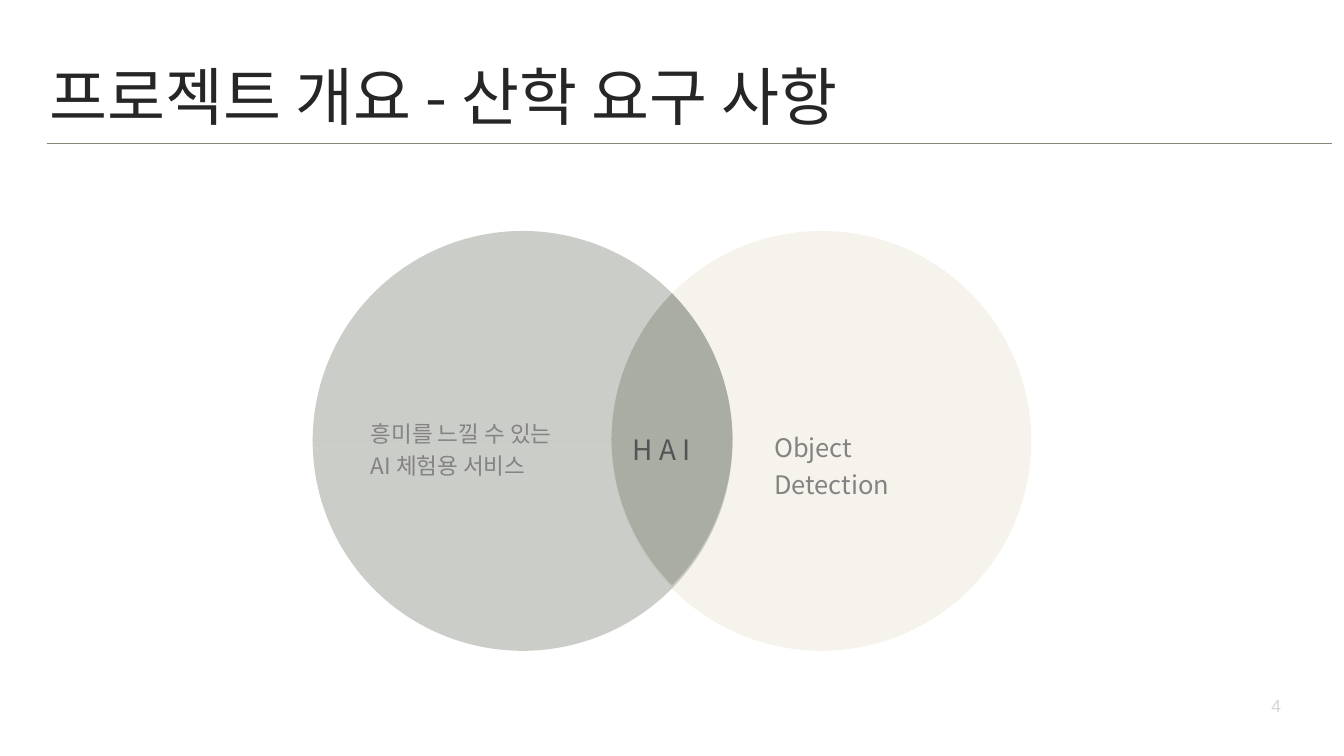
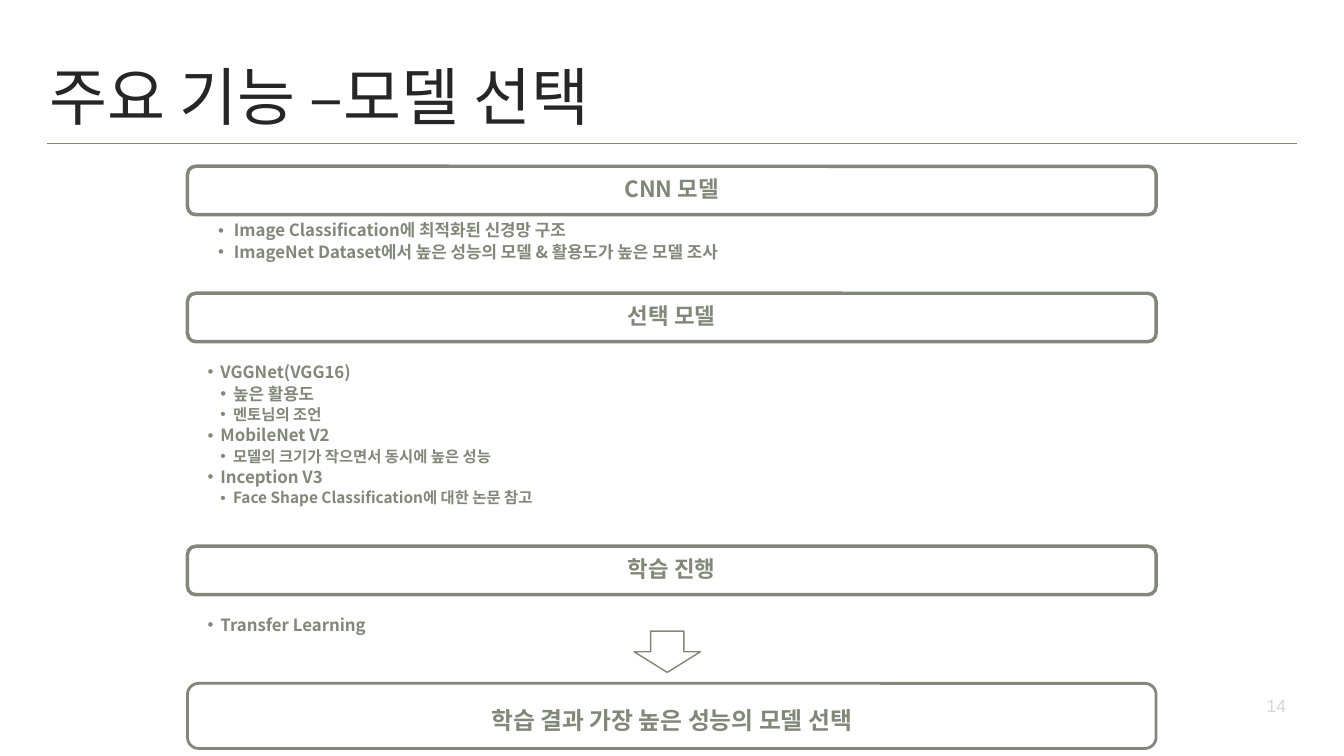
from dataclasses import dataclass
from math import acos, cos, pi, sin, tan
from typing import NamedTuple

from lxml import etree
from pptx import Presentation
from pptx.dml.color import RGBColor
from pptx.enum.shapes import MSO_CONNECTOR, MSO_SHAPE
from pptx.enum.text import MSO_ANCHOR, MSO_AUTO_SIZE, PP_ALIGN
from pptx.oxml.ns import qn
from pptx.util import Cm, Pt

LEFT, CENTER = PP_ALIGN.LEFT, PP_ALIGN.CENTER
TOP, MIDDLE = MSO_ANCHOR.TOP, MSO_ANCHOR.MIDDLE
ROUNDED, ARROW = MSO_SHAPE.ROUNDED_RECTANGLE, MSO_SHAPE.RIGHT_ARROW
STRAIGHT = MSO_CONNECTOR.STRAIGHT
TITLE_ONLY, COMPARISON = 5, 4


@dataclass(frozen=True)
class Theme:
    korean: str = "Noto Sans CJK KR"
    latin: str = "Arial"
    ink: RGBColor = RGBColor(0x26, 0x26, 0x26)
    olive: RGBColor = RGBColor(0x81, 0x87, 0x79)
    sage: RGBColor = RGBColor(0xA9, 0xAD, 0xA4)
    cream: RGBColor = RGBColor(0xF3, 0xF1, 0xE6)
    label: RGBColor = RGBColor(0x83, 0x83, 0x83)
    overlap_label: RGBColor = RGBColor(0x55, 0x54, 0x55)
    page: RGBColor = RGBColor(0xD5, 0xD5, 0xD5)
    white: RGBColor = RGBColor(0xFF, 0xFF, 0xFF)
    title_size: float = 90
    page_size: float = 25
    service_size: float = 32.2
    detection_size: float = 36.4
    overlap_size: float = 40
    banner_size: float = 32
    result_size: float = 34
    item_size: float = 24
    detail_size: float = 22


THEME = Theme()


class Box(NamedTuple):
    """A frame in centimetres."""
    left: float
    top: float
    width: float
    height: float

    def lengths(self) -> list:
        return [Cm(side) for side in self]


class Style(NamedTuple):
    size: float
    color: RGBColor
    bold: bool = False
    font: str = THEME.korean
    align: PP_ALIGN = LEFT
    spacing: float = 1.0
    before: float = 0


class Label(NamedTuple):
    text: str
    box: Box
    style: Style


class Circle(NamedTuple):
    x: float
    y: float
    radius: float
    color: RGBColor
    opacity: int

    def point(self, angle: float, side: int, lean: float = 0) -> tuple:
        """Point on the rim, moved by lean radii along the tangent."""
        across = cos(angle) - lean * sin(angle)
        along = sin(angle) + lean * cos(angle)
        return self.x + self.radius * across, self.y + side * self.radius * along


class Banner(NamedTuple):
    text: str
    top: float
    height: float
    border: float
    style: Style


class Item(NamedTuple):
    text: str
    level: int = 1
    size: float = THEME.item_size


class BulletList(NamedTuple):
    box: Box
    indent: float
    items: list


TITLE_STYLE = Style(THEME.title_size, THEME.ink)
PAGE_STYLE = Style(THEME.page_size, THEME.page, font=THEME.latin, align=CENTER)
BANNER_STYLE = Style(THEME.banner_size, THEME.olive, True, align=CENTER, spacing=0.9)
RESULT_STYLE = Style(THEME.result_size, THEME.olive, True, THEME.latin, CENTER, 1.3)

RIGHT_CIRCLE = Circle(41.4, 22.22, 10.58, THEME.cream, 80)
LEFT_CIRCLE = Circle(26.34, 22.22, 10.58, THEME.sage, 60)
LOWER_OVERLAP_RISE = 0.15
VENN_LABELS = [
    Label("흥미를 느낄 수 있는\nAI 체험용 서비스", Box(18.49, 20.68, 10.41, 3.28),
          Style(THEME.service_size, THEME.label, spacing=1.2)),
    Label("Object Detection", Box(38.82, 21.26, 9.96, 2.08),
          Style(THEME.detection_size, THEME.label, spacing=1.2)),
    Label("H A I", Box(31.7, 21.26, 4.34, 2.08),
          Style(THEME.overlap_size, THEME.overlap_label, spacing=1.2)),
]

BANNER_LEFT, BANNER_WIDTH = 9.45, 48.82
BANNERS = [
    Banner("CNN 모델", 8.38, 2.44, 5, BANNER_STYLE),
    Banner("선택 모델", 14.78, 2.44, 5, BANNER_STYLE),
    Banner("학습 진행", 27.53, 2.44, 5, BANNER_STYLE),
    Banner("학습 결과 가장 높은 성능의 모델 선택", 34.44, 3.28, 4, RESULT_STYLE),
]
LISTS = [
    BulletList(Box(10.92, 11.13, 46.96, 3.35), 0.79, [
        Item("Image Classification에 최적화된 신경망 구조"),
        Item("ImageNet Dataset에서 높은 성능의 모델 & 활용도가 높은 모델 조사"),
    ]),
    BulletList(Box(10.39, 18.26, 46.96, 8.26), 0.64, [
        Item("VGGNet(VGG16)"),
        Item("높은 활용도", 2),
        Item("멘토님의 조언", 2, THEME.detail_size),
        Item("MobileNet V2"),
        Item("모델의 크기가 작으면서 동시에 높은 성능", 2, THEME.detail_size),
        Item("Inception V3"),
        Item("Face Shape Classification에 대한 논문 참고", 2, THEME.detail_size),
    ]),
    BulletList(Box(10.39, 30.99, 46.96, 1.17), 0.64, [Item("Transfer Learning")]),
]


def write(paragraph, text: str, style: Style) -> None:
    paragraph.text = text
    paragraph.alignment = style.align
    paragraph.line_spacing = style.spacing
    paragraph.space_before = Pt(style.before)
    for run in paragraph.runs:
        run.font.size = Pt(style.size)
        run.font.bold = style.bold
        run.font.color.rgb = style.color
        run.font.name = style.font
        east_asian = etree.SubElement(run.font._element, qn("a:ea"))
        east_asian.set("typeface", THEME.korean)


def prepare_frame(frame, inset: float, anchor=TOP, wrap: bool = True) -> None:
    frame.auto_size = MSO_AUTO_SIZE.NONE
    frame.word_wrap = wrap
    frame.vertical_anchor = anchor
    frame.margin_left = frame.margin_right = Cm(inset)
    frame.margin_top = frame.margin_bottom = Cm(inset)


def move(shape, box: Box) -> None:
    shape.left, shape.top, shape.width, shape.height = box.lengths()


def add_label(slide, label: Label, inset: float = 0.2, wrap: bool = True) -> None:
    frame = slide.shapes.add_textbox(*label.box.lengths()).text_frame
    prepare_frame(frame, inset, wrap=wrap)
    write(frame.paragraphs[0], label.text, label.style)


def add_titled_slide(deck, layout: int, title: str, title_size: tuple,
                     rule_end: float, page: str):
    """Start a slide with its title, the rule below it and the page number."""
    slide = deck.slides.add_slide(deck.slide_layouts[layout])
    heading = slide.shapes.title
    move(heading, Box(2.34, 2.77, *title_size))
    prepare_frame(heading.text_frame, 0.15)
    write(heading.text_frame.paragraphs[0], title, TITLE_STYLE)

    rule = slide.shapes.add_connector(STRAIGHT, Cm(2.36), Cm(7.24), Cm(rule_end), Cm(7.24))
    rule.line.color.rgb = THEME.olive
    rule.line.width = Pt(2)
    etree.SubElement(rule._element.spPr, qn("a:effectLst"))

    add_label(slide, Label(page, Box(63.68, 34.9, 1.3, 1.35), PAGE_STYLE), 0.15, False)
    return slide


def arc(circle: Circle, start: float, stop: float, side: int) -> list:
    """Bézier curves (two controls, end); side is -1 above the centre, 1 below."""
    count = round((stop - start) / (pi / 4))
    step = (stop - start) / count
    lean = 4 / 3 * tan(step / 4)
    angles = [start + step * index for index in range(count)]
    return [(circle.point(angle, side, lean),
             circle.point(angle + step, side, -lean),
             circle.point(angle + step, side)) for angle in angles]


def add_region(slide, start: tuple, curves: list, color: RGBColor,
               opacity: int = 100) -> None:
    builder = slide.shapes.build_freeform(Cm(start[0]), Cm(start[1]), scale=1.0)
    builder.add_line_segments([(Cm(x), Cm(y)) for *_, (x, y) in curves], close=True)
    region = builder.convert_to_shape()
    segments = list(region._element.iter(qn("a:lnTo")))
    for segment, (*controls, _) in zip(segments, curves):
        segment.tag = qn("a:cubicBezTo")
        for position, (x, y) in enumerate(controls):
            control = etree.Element(qn("a:pt"))
            control.set("x", str(Cm(x) - region.left))
            control.set("y", str(Cm(y) - region.top))
            segment.insert(position, control)
    region.shadow.inherit = False
    region.line.fill.background()
    region.fill.solid()
    region.fill.fore_color.rgb = color
    if opacity < 100:
        tint = region._element.spPr.find(f"{qn('a:solidFill')}/{qn('a:srgbClr')}")
        etree.SubElement(tint, qn("a:alpha")).set("val", str(opacity * 1000))


def add_venn(slide) -> None:
    half_gap = (RIGHT_CIRCLE.x - LEFT_CIRCLE.x) / 2
    crossing = acos(half_gap / LEFT_CIRCLE.radius)
    for side, rise in ((-1, 0), (1, LOWER_OVERLAP_RISE)):
        for circle in (RIGHT_CIRCLE, LEFT_CIRCLE):
            add_region(slide, circle.point(0, side), arc(circle, 0, pi, side),
                       circle.color, circle.opacity)
        left, right = (circle._replace(y=circle.y - rise)
                       for circle in (LEFT_CIRCLE, RIGHT_CIRCLE))
        overlap = arc(left, 0, crossing, side) + arc(right, pi - crossing, pi, side)
        add_region(slide, left.point(0, side), overlap, THEME.sage)


def add_banner(slide, banner: Banner) -> None:
    box = Box(BANNER_LEFT, banner.top, BANNER_WIDTH, banner.height)
    shape = slide.shapes.add_shape(ROUNDED, *box.lengths())
    shape.adjustments[0] = 0.17
    shape.shadow.inherit = False
    shape.fill.background()
    shape.line.color.rgb = THEME.olive
    shape.line.width = Pt(banner.border)
    prepare_frame(shape.text_frame, 0.2, MIDDLE)
    write(shape.text_frame.paragraphs[0], banner.text, banner.style)


def fill_list(placeholder, bullets: BulletList) -> None:
    move(placeholder, bullets.box)
    frame = placeholder.text_frame
    prepare_frame(frame, 0.08)
    for index, item in enumerate(bullets.items):
        paragraph = frame.add_paragraph() if index else frame.paragraphs[0]
        write(paragraph, item.text,
              Style(item.size, THEME.olive, True, spacing=0.9, before=5))
        paragraph.level = item.level
        properties = paragraph._p.get_or_add_pPr()
        properties.set("marL", str(Cm(bullets.indent * item.level)))
        properties.set("indent", str(-Cm(bullets.indent)))
        etree.SubElement(properties, qn("a:buFont")).set("typeface", THEME.latin)
        etree.SubElement(properties, qn("a:buChar")).set("char", "•")


def add_result_arrow(slide) -> None:
    arrow = slide.shapes.add_shape(ARROW, *Box(32.59, 31.17, 2.08, 3.35).lengths())
    arrow.rotation = 90
    arrow.shadow.inherit = False
    arrow.fill.solid()
    arrow.fill.fore_color.rgb = THEME.white
    arrow.line.color.rgb = THEME.olive
    arrow.line.width = Pt(2)


def build_requirements(deck) -> None:
    slide = add_titled_slide(deck, TITLE_ONLY, "프로젝트 개요 - 산학 요구 사항",
                             (55.88, 3.99), 67.13, "4")
    add_venn(slide)
    for label in VENN_LABELS:
        add_label(slide, label)


def build_model_choice(deck) -> None:
    slide = add_titled_slide(deck, COMPARISON, "주요 기능 –모델 선택",
                             (48.16, 5.28), 65.35, "14")
    bodies = list(slide.placeholders)[1:]
    for body, bullets in zip(bodies, LISTS):
        fill_list(body, bullets)
    for unused in bodies[len(LISTS):]:
        unused._element.getparent().remove(unused._element)
    for banner in BANNERS:
        add_banner(slide, banner)
    add_result_arrow(slide)


def main() -> None:
    deck = Presentation()
    deck.slide_width, deck.slide_height = Cm(67.74), Cm(38.1)
    build_requirements(deck)
    build_model_choice(deck)
    deck.save("out.pptx")


if __name__ == "__main__":
    main()
